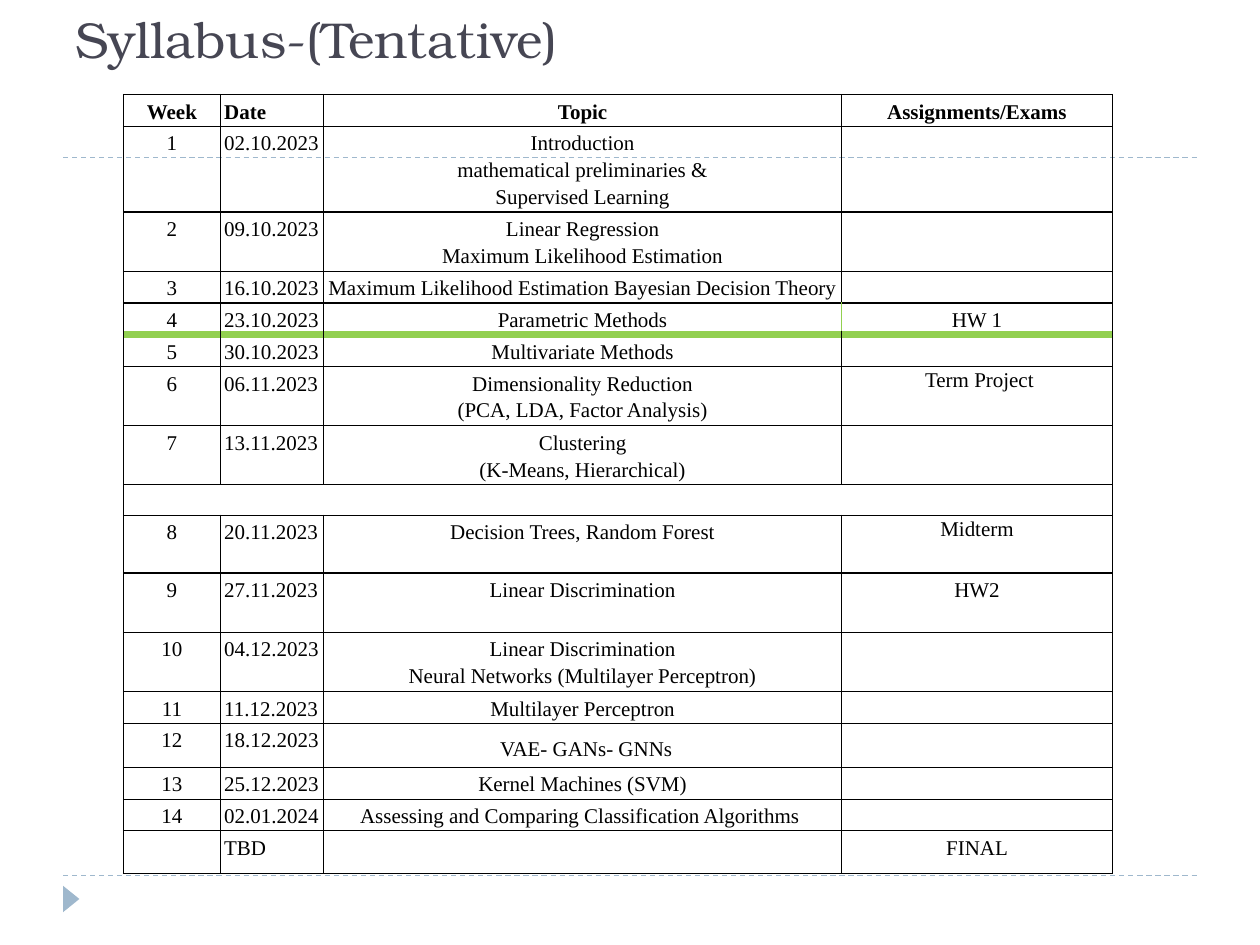
from lxml import etree
from pptx import Presentation
from pptx import util as u
from pptx.dml.color import RGBColor
from pptx.enum import dml, shapes, text
from pptx.oxml.ns import qn

COLORS = {"ink": "000000", "title": "464653", "accent": "9FB8CD", "divider": "92D050"}
BODY_FONT = "Times New Roman"
TITLE = "Syllabus-(Tentative)"
COLUMN_WIDTHS = [0.77, 0.82, 4.11, 2.15]
ROWS = [
    (0.25, "Week", "Date", "Topic", "Assignments/Exams"),
    (0.68, "1", "02.10.2023",
     "Introduction\nmathematical preliminaries &\nSupervised Learning", ""),
    (0.47, "2", "09.10.2023", "Linear Regression\nMaximum Likelihood Estimation", ""),
    (0.25, "3", "16.10.2023", "Maximum Likelihood Estimation Bayesian Decision Theory", ""),
    (0.25, "4", "23.10.2023", "Parametric Methods", "HW 1"),
    (0.25, "5", "30.10.2023", "Multivariate Methods", ""),
    (0.47, "6", "06.11.2023", "Dimensionality Reduction\n(PCA, LDA, Factor Analysis)", " Term Project"),
    (0.47, "7", "13.11.2023", "Clustering\n(K-Means, Hierarchical)", ""),
    (0.24, "", "", "", ""),
    (0.46, "8", "20.11.2023", "Decision Trees, Random Forest", "Midterm"),
    (0.47, "9", "27.11.2023", "Linear Discrimination", "HW2"),
    (0.47, "10", "04.12.2023",
     "Linear Discrimination\nNeural Networks (Multilayer Perceptron)", ""),
    (0.25, "11", "11.12.2023", "Multilayer Perceptron", ""),
    (0.35, "12", "18.12.2023", "VAE- GANs- GNNs", ""),
    (0.25, "13", "25.12.2023", "Kernel Machines (SVM)", ""),
    (0.25, "14", "02.01.2024", "Assessing and Comparing Classification Algorithms ", ""),
    (0.34, "", "TBD", "", "FINAL"),
]
BREAK_ROW = 8
SINGLE_SPACED = {" Term Project", "Midterm", "VAE- GANs- GNNs"}
TALL_LINE = "VAE- GANs- GNNs"
THIN, MEDIUM, THICK = ("ink", 0.75), ("ink", 1), ("divider", 4.5)


def rgb(name):
    return RGBColor.from_string(COLORS[name])


def cell_borders(row, column):
    borders = dict.fromkeys("LRTB", THIN)
    if row == 4:
        borders["B"] = THICK
        if column in (2, 3):
            borders["R" if column == 2 else "L"] = ("divider", 1)
    elif row == 5:
        borders = dict.fromkeys("LRB", MEDIUM) | {"T": THICK}
    elif row == 6:
        borders["T"] = MEDIUM
    return borders


def draw_borders(cell, borders):
    properties = cell._tc.get_or_add_tcPr()
    for side in "LRTB":
        color, width = borders[side]
        line = etree.SubElement(properties, qn(f"a:ln{side}"), w=str(u.Pt(width)))
        fill = etree.SubElement(line, qn("a:solidFill"))
        etree.SubElement(fill, qn("a:srgbClr"), val=COLORS[color])


def write_cell(cell, content, row, column):
    cell.margin_left = cell.margin_right = u.Inches(0.03)
    cell.margin_top = cell.margin_bottom = u.Inches(0.02)
    frame = cell.text_frame
    for index, line in enumerate(content.split("\n")):
        paragraph = frame.add_paragraph() if index else frame.paragraphs[0]
        paragraph.alignment = text.PP_ALIGN.LEFT if column == 1 else text.PP_ALIGN.CENTER
        if line not in SINGLE_SPACED:
            paragraph.line_spacing = 1.15
        font = paragraph.font
        font.name, font.size, font.bold = BODY_FONT, u.Pt(12), row == 0
        font.color.rgb = rgb("ink")
        if line == TALL_LINE:
            spacer = paragraph.add_run()
            spacer.text = " "
            spacer.font.name, spacer.font.size = "Cabin", u.Pt(18)
        if line:
            paragraph.add_run().text = line


def add_rule(slide, top):
    rule = slide.shapes.add_connector(
        shapes.MSO_CONNECTOR.STRAIGHT, u.Inches(0.5), u.Inches(top), u.Inches(9.5), u.Inches(top))
    rule.line.color.rgb = rgb("accent")
    rule.line.width = u.Pt(0.75)
    rule.line.dash_style = dml.MSO_LINE.DASH
    etree.SubElement(rule._element.spPr, qn("a:effectLst"))


def add_marker(slide):
    marker = slide.shapes.add_shape(
        shapes.MSO_SHAPE.ISOSCELES_TRIANGLE,
        u.Inches(0.46), u.Inches(7.07), u.Inches(0.21), u.Inches(0.13))
    marker.rotation = 90
    marker.shadow.inherit = False
    marker.fill.solid()
    marker.fill.fore_color.rgb = rgb("accent")
    marker.line.fill.background()


def add_schedule(slide):
    heights = [row[0] for row in ROWS]
    table = slide.shapes.add_table(
        len(ROWS), len(COLUMN_WIDTHS), u.Inches(0.98), u.Inches(0.75),
        u.Inches(sum(COLUMN_WIDTHS)), u.Inches(sum(heights))).table
    table.first_row = table.horz_banding = False
    for column, width in zip(table.columns, COLUMN_WIDTHS):
        column.width = u.Inches(width)
    for row, (height, *contents) in enumerate(ROWS):
        table.rows[row].height = u.Inches(height)
        for column, content in enumerate(contents):
            cell = table.cell(row, column)
            write_cell(cell, content, row, column)
            draw_borders(cell, cell_borders(row, column))
            cell.fill.background()
    table.cell(BREAK_ROW, 0).merge(table.cell(BREAK_ROW, len(COLUMN_WIDTHS) - 1))


def add_title(slide):
    frame = slide.shapes.add_textbox(
        u.Inches(0.5), u.Inches(0.12), u.Inches(9), u.Inches(0.47)).text_frame
    frame.word_wrap = True
    frame.vertical_anchor = text.MSO_ANCHOR.BOTTOM
    paragraph = frame.paragraphs[0]
    paragraph.text = TITLE
    paragraph.font.name, paragraph.font.size = "TeX Gyre Bonum", u.Pt(28.8)
    paragraph.font.color.rgb = rgb("title")


def main():
    presentation = Presentation()
    presentation.slide_width, presentation.slide_height = u.Inches(10), u.Inches(7.5)
    slide = presentation.slides.add_slide(presentation.slide_layouts[6])
    for top in (6.95, 1.25):
        add_rule(slide, top)
    add_marker(slide)
    add_schedule(slide)
    add_title(slide)
    presentation.save("out.pptx")


if __name__ == "__main__":
    main()
